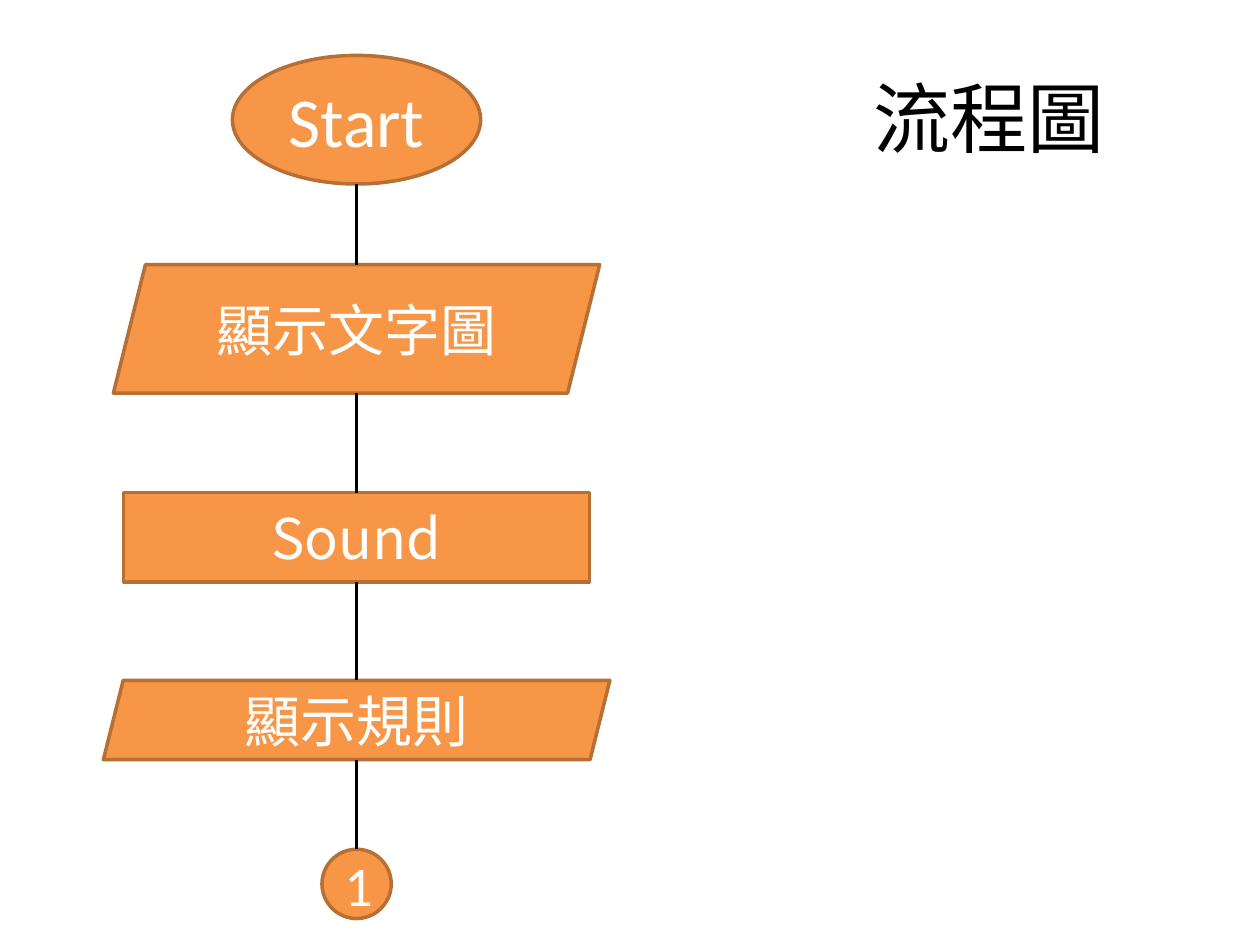
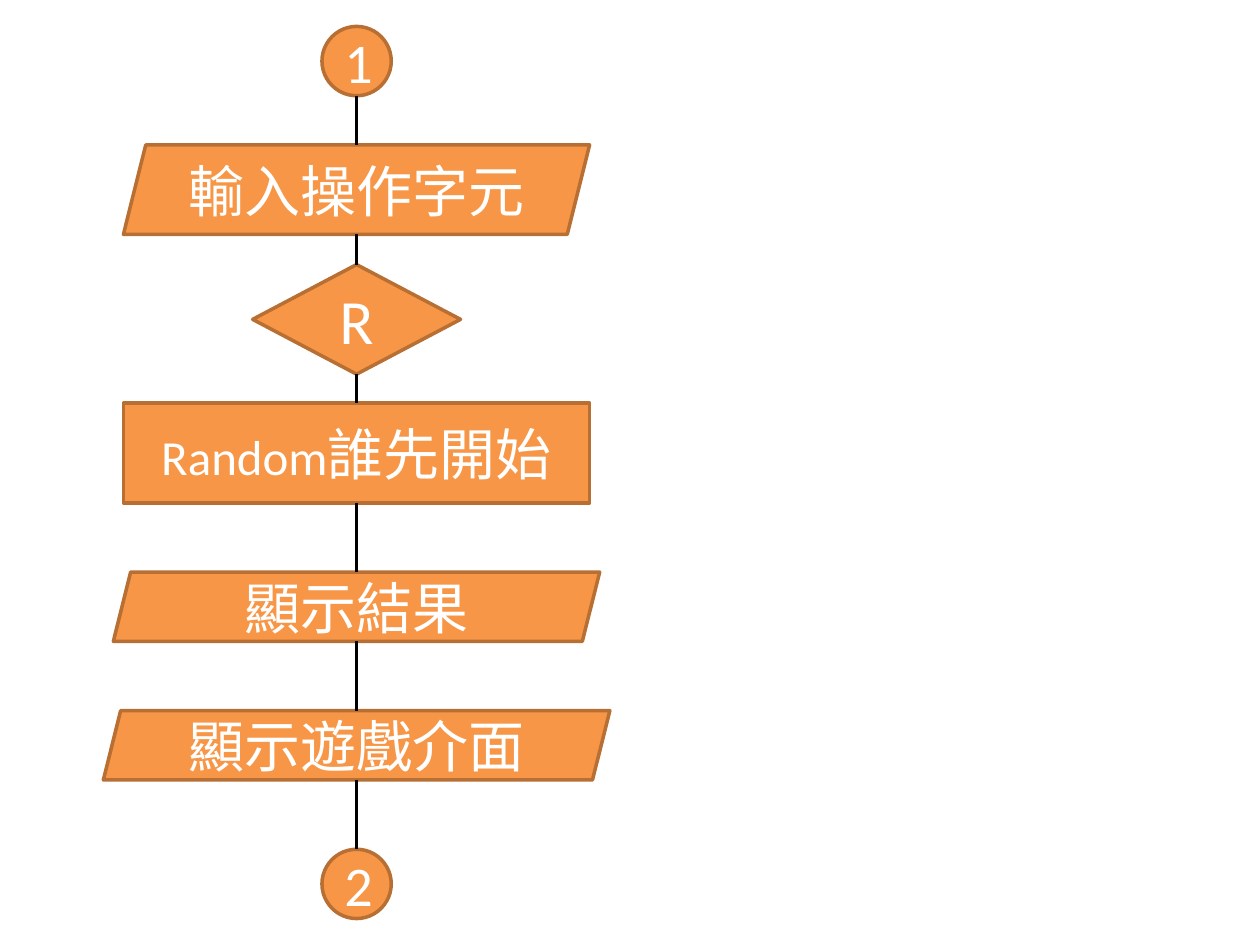
from dataclasses import dataclass

from lxml.etree import SubElement
from pptx import Presentation
from pptx.dml.color import RGBColor
from pptx.enum.shapes import MSO_CONNECTOR, MSO_SHAPE
from pptx.enum.text import MSO_ANCHOR, PP_ALIGN
from pptx.oxml.ns import qn
from pptx.util import Inches, Pt


@dataclass(frozen=True)
class Theme:
    """Colours, fonts and sizes shared by the slides."""

    fill: RGBColor = RGBColor(0xF7, 0x96, 0x46)
    outline: RGBColor = RGBColor(0xB7, 0x6F, 0x34)
    ink: RGBColor = RGBColor(0, 0, 0)
    label: RGBColor = RGBColor(0xFF, 0xFF, 0xFF)
    latin: str = "Calibri"
    cjk: str = "Noto Sans CJK SC"
    title_size: int = 44
    start_size: int = 40
    decision_size: int = 36
    step_size: int = 32
    small_size: int = 28
    outline_width: float = 2
    link_width: float = 1.5
    axis: float = 2.83


THEME = Theme()


@dataclass(frozen=True)
class Step:
    """One flowchart step, centred on the axis."""

    kind: MSO_SHAPE
    top: float
    width: float
    height: float
    texts: tuple


def latin(text, size=THEME.step_size):
    """Describe a run in the Latin font."""
    return text, THEME.latin, size


def cjk(text, size=THEME.step_size):
    """Describe a run in the CJK font."""
    return text, THEME.cjk, size


def page_link(number, top):
    """Describe the round connector that continues on another slide."""
    return Step(MSO_SHAPE.FLOWCHART_CONNECTOR, top, 0.55, 0.55, (latin(number),))


def data_step(text, top, width, height):
    """Describe an input or output step."""
    return Step(MSO_SHAPE.PARALLELOGRAM, top, width, height, (cjk(text),))


INTRO = (
    Step(MSO_SHAPE.OVAL, 0.44, 1.97, 1.02, (latin("Start", THEME.start_size),)),
    data_step("顯示文字圖", 2.1, 3.86, 1.02),
    Step(MSO_SHAPE.RECTANGLE, 3.91, 3.7, 0.71, (cjk("Sound"),)),
    data_step("顯示規則", 5.4, 4.02, 0.63),
    page_link("1", 6.74),
)
SETUP = (
    page_link("1", 0.21),
    data_step("輸入操作字元", 1.15, 3.7, 0.71),
    Step(MSO_SHAPE.DIAMOND, 2.1, 1.65, 0.87, (latin("R", THEME.decision_size),)),
    Step(MSO_SHAPE.FLOWCHART_PROCESS, 3.2, 3.7, 0.79,
         (latin("Random", THEME.small_size), cjk("誰先開始"))),
    data_step("顯示結果", 4.54, 3.86, 0.55),
    data_step("顯示遊戲介面", 5.64, 4.02, 0.55),
    page_link("2", 6.74),
)


def write(frame, texts, color, align):
    """Write the runs as one vertically centred paragraph."""
    frame.vertical_anchor = MSO_ANCHOR.MIDDLE
    paragraph = frame.paragraphs[0]
    paragraph.alignment = align
    for text, font_name, size in texts:
        run = paragraph.add_run()
        run.text = text
        run.font.color.rgb = color
        for attribute, value in {"name": font_name, "size": Pt(size)}.items():
            setattr(run.font, attribute, value)
        SubElement(run._r.get_or_add_rPr(), qn("a:ea"), typeface=THEME.cjk)


def add_title(slide, text):
    """Place the title at the upper right."""
    title = slide.shapes.title
    place = {"left": 6.81, "top": 0.3, "width": 2.06, "height": 1.25}
    for attribute, value in place.items():
        setattr(title, attribute, Inches(value))
    write(title.text_frame, (cjk(text, THEME.title_size),), THEME.ink, PP_ALIGN.RIGHT)


def add_step(slide, step):
    """Draw one step on the axis."""
    box = slide.shapes.add_shape(
        step.kind, Inches(THEME.axis - step.width / 2), Inches(step.top),
        Inches(step.width), Inches(step.height))
    box.shadow.inherit = False
    box.fill.solid()
    box.fill.fore_color.rgb = THEME.fill
    box.line.color.rgb = THEME.outline
    box.line.width = Pt(THEME.outline_width)
    write(box.text_frame, step.texts, THEME.label, PP_ALIGN.CENTER)


def add_link(slide, upper, lower):
    """Join the foot of one step to the head of the next."""
    link = slide.shapes.add_connector(
        MSO_CONNECTOR.STRAIGHT, Inches(THEME.axis), Inches(upper.top + upper.height),
        Inches(THEME.axis), Inches(lower.top))
    link.line.color.rgb = THEME.ink
    link.line.width = Pt(THEME.link_width)
    SubElement(link._element.spPr, qn("a:effectLst"))


def add_flow(slide, steps):
    """Draw the steps and the links between neighbours."""
    for step in steps:
        add_step(slide, step)
    for upper, lower in zip(steps, steps[1:]):
        add_link(slide, upper, lower)


def main():
    """Build and save the presentation."""
    deck = Presentation()
    deck.slide_width, deck.slide_height = Inches(10), Inches(7.5)
    title_only, blank = deck.slide_layouts[5], deck.slide_layouts[6]
    intro = deck.slides.add_slide(title_only)
    add_title(intro, "流程圖")
    add_flow(intro, INTRO)
    add_flow(deck.slides.add_slide(blank), SETUP)
    deck.save("out.pptx")


main()
